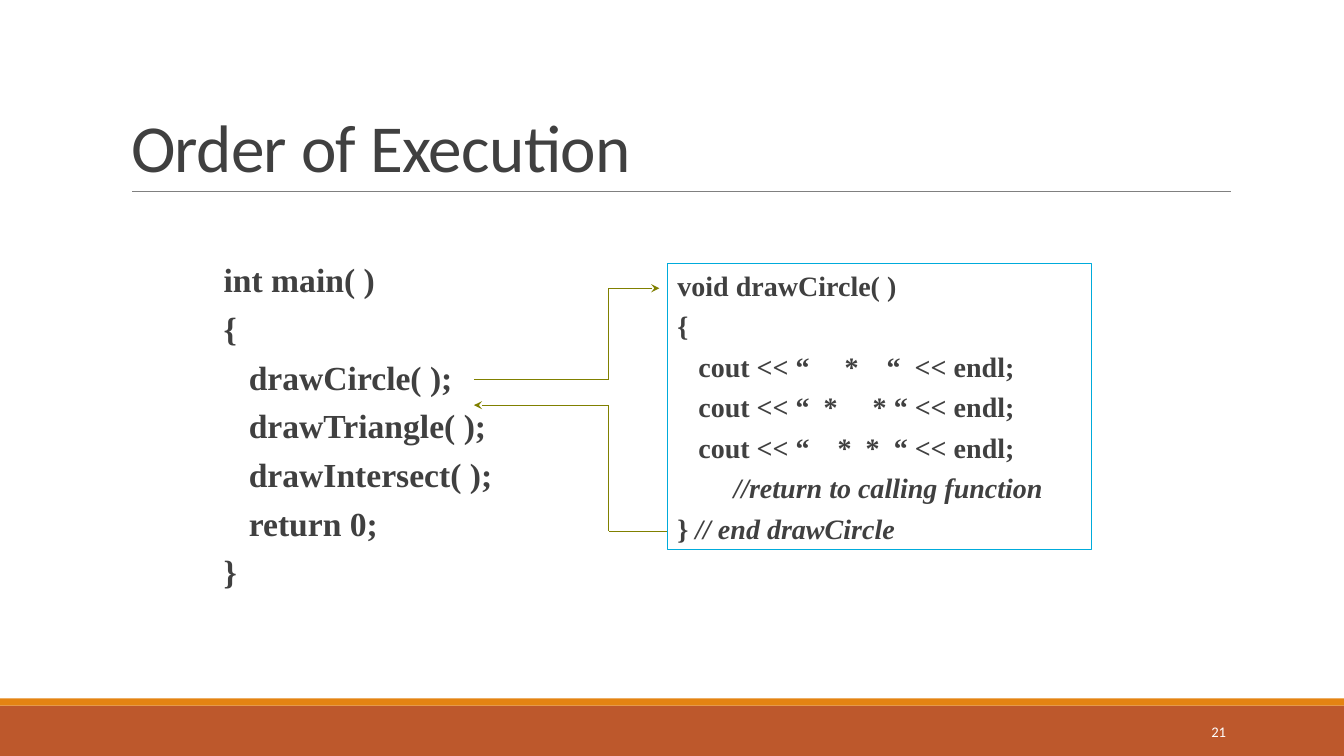
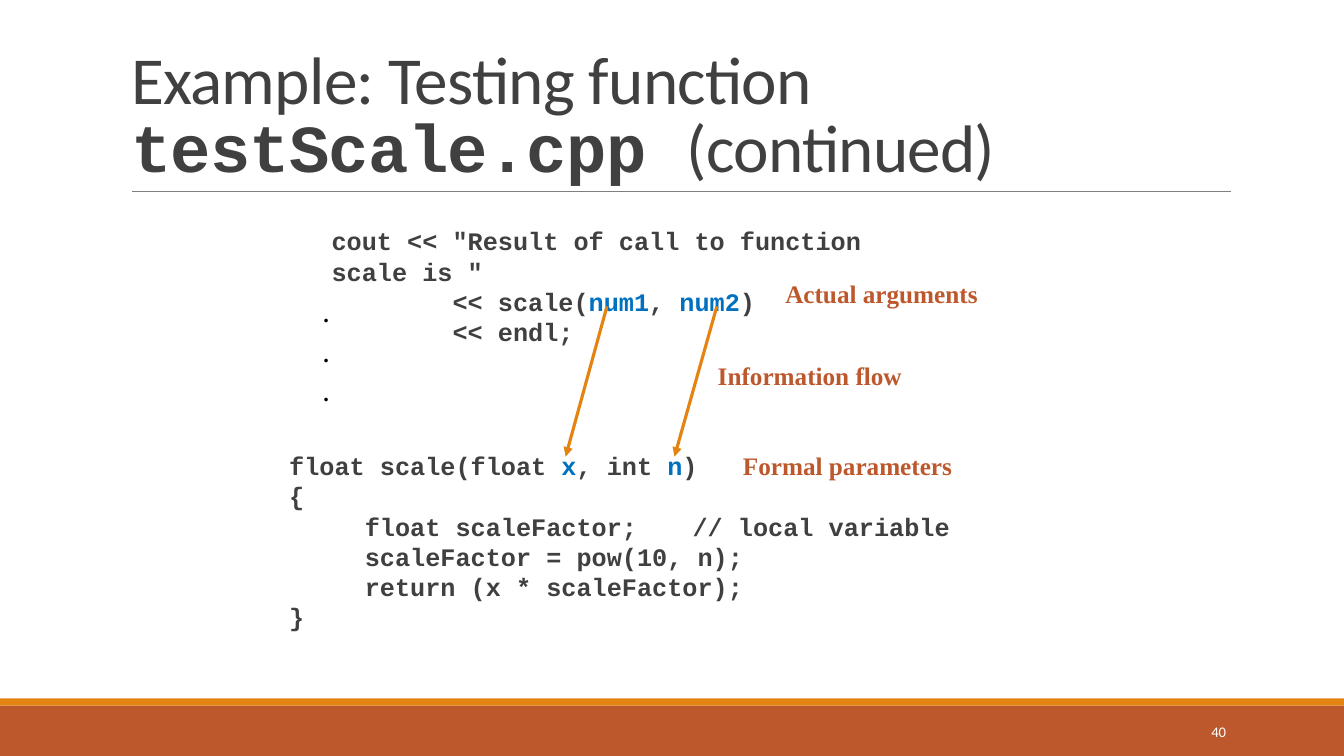
import itertools

import pptx
import pptx.dml.color
import pptx.enum.shapes
import pptx.enum.text
import pptx.oxml
import pptx.oxml.ns
import pptx.util

WIDTH, HEIGHT = 13.33, 7.5
SANS, SERIF, MONO = "Calibri", "Times New Roman", "Courier New"
RUST, ORANGE, GRAY, DARK = "BD582C", "E48312", "808080", "404040"
WHITE, BLACK, BLUE, CYAN, OLIVE = "FFFFFF", "000000", "0070C0", "00ABDB", "808000"
ALIGN = pptx.enum.text.PP_ALIGN
ANCHOR = pptx.enum.text.MSO_ANCHOR
RECTANGLE = pptx.enum.shapes.MSO_SHAPE.RECTANGLE
STRAIGHT = pptx.enum.shapes.MSO_CONNECTOR.STRAIGHT

# Text styles
TITLE = {"font": SANS, "size": 48, "color": DARK}
NUMBER = {"font": SANS, "size": 10.5, "color": WHITE}
MAIN_CODE = {"font": SERIF, "size": 24, "color": DARK, "bold": True}
CIRCLE_CODE = {**MAIN_CODE, "size": 20}
SCALE_CODE = {"font": MONO, "size": 18, "color": DARK, "bold": True}
LABEL = {**SCALE_CODE, "font": SERIF, "color": RUST}
DOTS = {**LABEL, "size": 16, "color": BLACK}
ITALIC, ARGUMENT = {"italic": True}, {"color": BLUE}

# Content: a line is a string or a list of (text, style changes)
MAIN_LINES = [
    "int main( )",
    "{",
    "   drawCircle( );",
    "   drawTriangle( );",
    "   drawIntersect( );",
    "   return 0;",
    "}",
]
CIRCLE_LINES = [
    "void drawCircle( )",
    "{",
    "   cout << “     *    “  << endl;",
    "   cout << “  *     * “ << endl;",
    "   cout << “    *  *  “ << endl;",
    [("        ", {}), ("//return to calling function", ITALIC)],
    [("} ", {}), ("// end drawCircle", ITALIC)],
]
CALL_LINES = [
    'cout << "Result of call to function scale is "',
    [("        << scale(", {}), ("num1", ARGUMENT), (", ", {}),
     ("num2", ARGUMENT), (")", {})],
    "        << endl;",
]
SCALE_LINES = [
    [("float scale(float ", {}), ("x", ARGUMENT), (", int ", {}),
     ("n", ARGUMENT), (")", {})],
    "{",
    "     float scaleFactor;   \t// local variable",
    "     scaleFactor = pow(10, n);",
    "     return (x * scaleFactor);",
    "}",
]
LABELS = [
    ("Actual arguments", 7.69, 2.71),
    ("Information flow", 7.02, 3.53),
    ("Formal parameters", 7.27, 4.42),
]

# Arrow routes, each ending at its arrowhead
TURN = 6.04
CALL_ROUTE = [(4.7, 3.77), (TURN, 3.77), (TURN, 2.86), (6.54, 2.86)]
RETURN_ROUTE = [(6.62, 5.27), (TURN, 5.27), (TURN, 4.02), (4.7, 4.02)]
FLOW_ROUTES = [[(6.02, 3.04), (5.61, 4.53)], [(7.11, 3.04), (6.69, 4.53)]]


def inches(*values):
    return [pptx.util.Inches(value) for value in values]


def rgb(color):
    return pptx.dml.color.RGBColor.from_string(color)


def write(frame, lines, style, gap=0, pitch=None, align=ALIGN.LEFT, anchor=ANCHOR.TOP):
    """Fill a frame; gap is the space before as a share of the text size."""
    frame.word_wrap = True
    frame.auto_size = pptx.enum.text.MSO_AUTO_SIZE.NONE
    frame.vertical_anchor = anchor
    for index, line in enumerate(lines):
        para = frame.add_paragraph() if index else frame.paragraphs[0]
        para.alignment = align
        if pitch:
            para.line_spacing = pitch
        if index and gap:
            para.space_before = pptx.util.Pt(gap * style["size"])
        for text, changes in [(line, {})] if isinstance(line, str) else line:
            look = {**style, **changes}
            span = para.add_run()
            span.text = text
            span.font.name = look["font"]
            span.font.size = pptx.util.Pt(look["size"])
            span.font.bold = look.get("bold", False)
            span.font.italic = look.get("italic", False)
            span.font.color.rgb = rgb(look["color"])


def add_text(page, place, lines, style, **layout):
    box = page.shapes.add_textbox(*inches(*place))
    write(box.text_frame, lines, style, **layout)


def add_rectangle(page, place, fill=None, line=None):
    shape = page.shapes.add_shape(RECTANGLE, *inches(*place))
    shape.shadow.inherit = False
    if fill:
        shape.fill.solid()
        shape.fill.fore_color.rgb = rgb(fill)
    else:
        shape.fill.background()
    if line:
        shape.line.color.rgb = rgb(line)
        shape.line.width = pptx.util.Pt(0.75)
    else:
        shape.line.fill.background()
    return shape


def add_route(page, points, color, width, head=None):
    """Join the points with straight lines, with a head on the last one."""
    for start, end in itertools.pairwise(points):
        line = page.shapes.add_connector(STRAIGHT, *inches(*start, *end))
        line.line.color.rgb = rgb(color)
        line.line.width = pptx.util.Pt(width)
        properties = line.element.spPr
        pptx.oxml.ns.qn("a:effectLst")
        properties.append(properties.makeelement(pptx.oxml.ns.qn("a:effectLst"), {}))
    if head:
        outline = line.line._get_or_add_ln()
        outline.append(outline.makeelement(pptx.oxml.ns.qn("a:tailEnd"), {"type": head}))


def add_furniture(page):
    """Draw the bands and the title rule, then move them to the layout."""
    add_rectangle(page, (0, 7, WIDTH, 0.5), RUST)
    add_rectangle(page, (0, 6.93, WIDTH, 0.07), ORANGE)
    add_route(page, [(1.31, 1.9), (12.21, 1.9)], GRAY, 0.5)
    for shape in list(page.shapes):
        if not shape.is_placeholder:
            page.slide_layout.shapes.element.append(shape.element)


def add_page(deck, title, number):
    page = deck.slides.add_slide(deck.slide_layouts[5])
    if len(deck.slides) == 1:
        add_furniture(page)
    heading = page.shapes.title
    heading.left, heading.top, heading.width, heading.height = inches(1.2, 0.31, 11, 1.59)
    write(heading.text_frame, [title], TITLE, pitch=0.85, anchor=ANCHOR.BOTTOM)
    for properties in heading.element.iter(pptx.oxml.ns.qn("a:rPr")):
        properties.set("spc", "-50")
    add_text(page, (10.83, 7.06, 1.43, 0.4), [number], NUMBER,
             align=ALIGN.RIGHT, anchor=ANCHOR.MIDDLE)
    return page


def build_order(deck):
    page = add_page(deck, "Order of Execution", "21")
    add_text(page, (2.12, 2.52, 3.2, 3.41), MAIN_LINES, MAIN_CODE, gap=0.25)
    circle = add_rectangle(page, (6.62, 2.61, 4.21, 2.84), line=CYAN)
    write(circle.text_frame, CIRCLE_LINES, CIRCLE_CODE, gap=0.25)
    for route in (CALL_ROUTE, RETURN_ROUTE):
        add_route(page, route, OLIVE, 0.75, "stealth")


def build_scale(deck):
    title = [("Example: Testing function ", {}),
             ("testScale.cpp ", {"font": MONO, "bold": True}), ("(continued)", {})]
    page = add_page(deck, title, "40")
    pitch = pptx.util.Pt(21.6)
    add_text(page, (2.77, 4.42, 7.42, 1.92), SCALE_LINES, SCALE_CODE, pitch=pitch)
    add_text(page, (3.19, 2.19, 6.17, 1.3), CALL_LINES, SCALE_CODE, pitch=pitch)
    add_text(page, (3.11, 2.93, 0.83, 1.17), ["."] * 3, DOTS, gap=0.57)
    for text, left, top in LABELS:
        add_text(page, (left, top, 2.42, 0.4), [text], LABEL)
    for route in FLOW_ROUTES:
        add_route(page, route, ORANGE, 2.25, "triangle")


def main():
    deck = pptx.Presentation()
    deck.slide_width, deck.slide_height = inches(WIDTH, HEIGHT)
    build_order(deck)
    build_scale(deck)
    deck.save("out.pptx")


if __name__ == "__main__":
    main()
